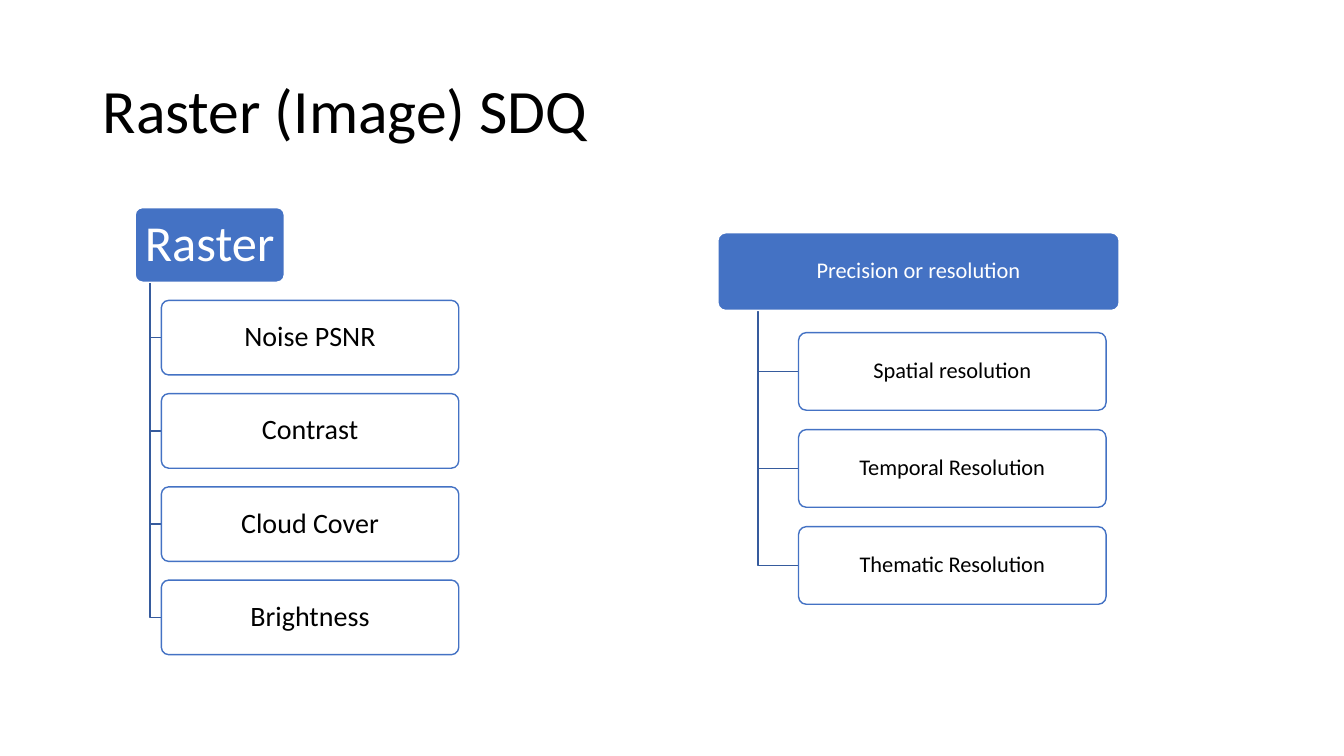
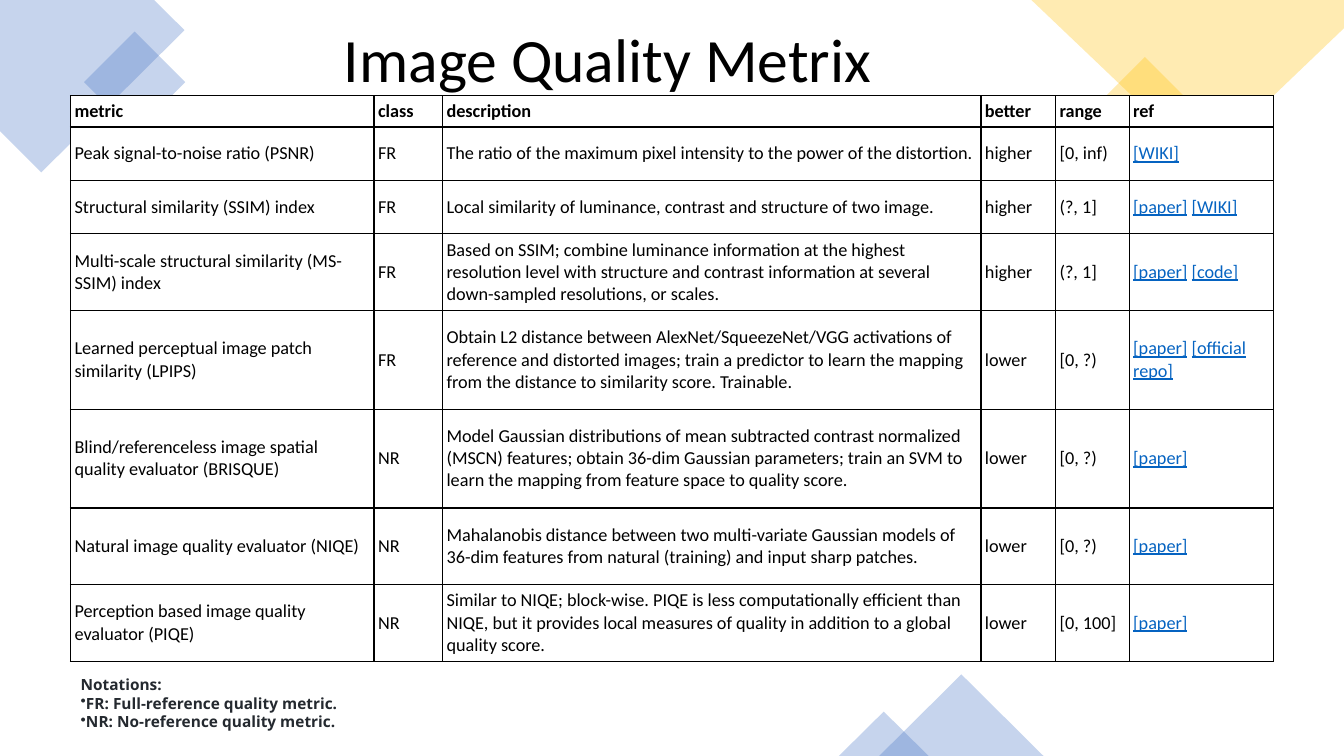
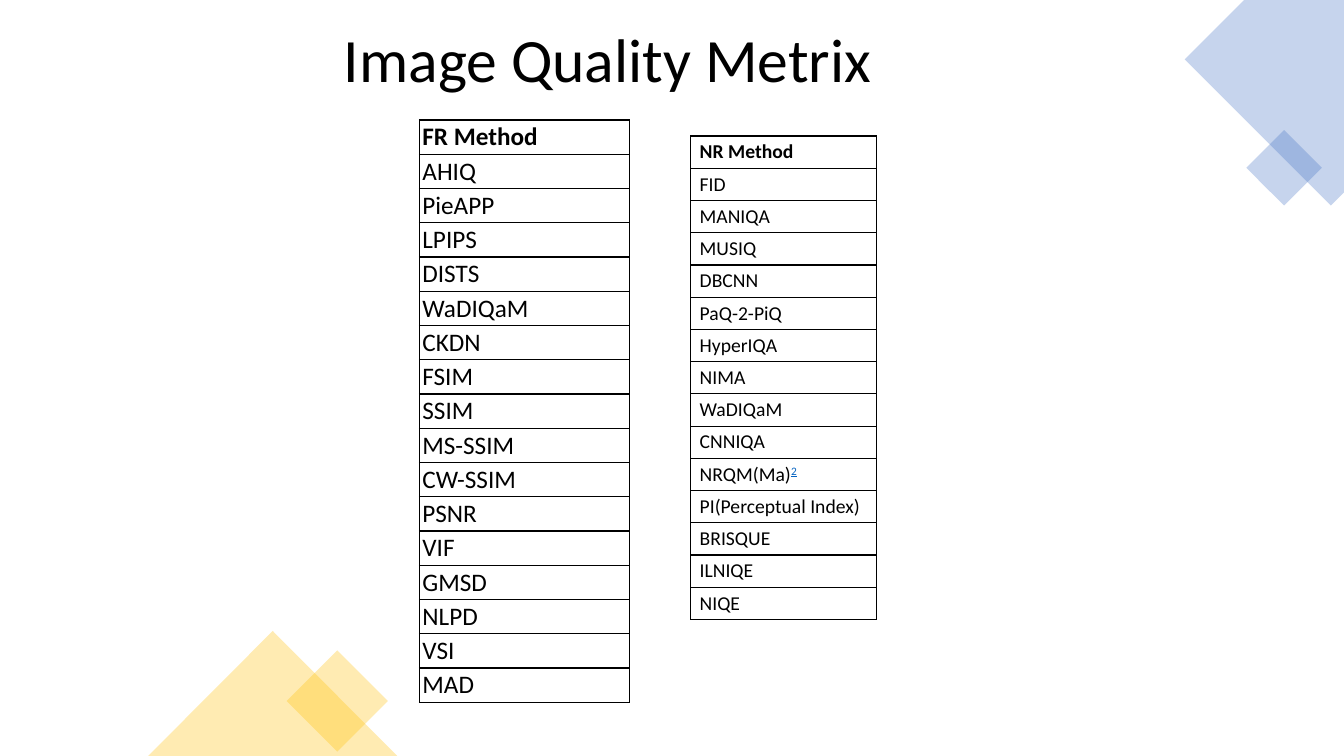
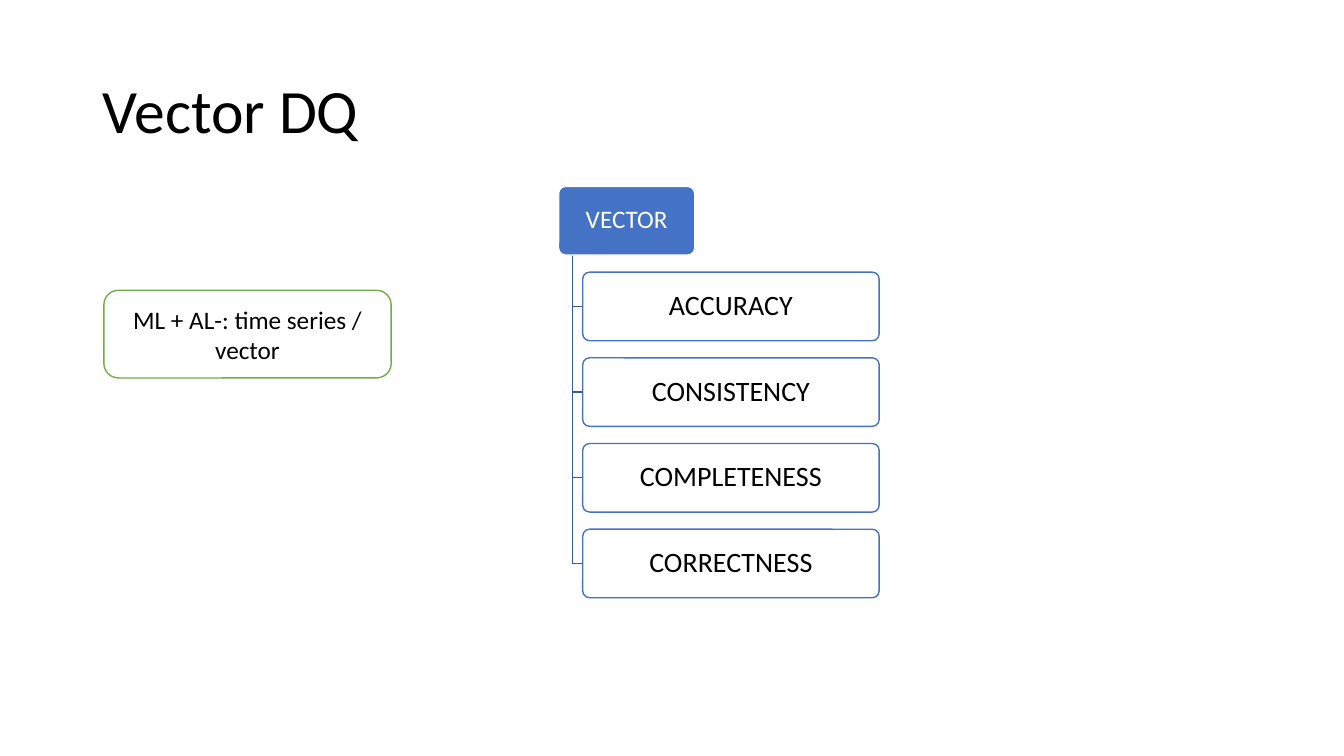
import pptx
import pptx.util
import pptx.dml.color
import pptx.enum.shapes
import pptx.enum.text
import pptx.oxml.ns
import lxml.etree

Inches = pptx.util.Inches
Pt = pptx.util.Pt
qn = pptx.oxml.ns.qn
add = lxml.etree.SubElement
Kind = pptx.enum.shapes.MSO_SHAPE
Align = pptx.enum.text.PP_ALIGN
Anchor = pptx.enum.text.MSO_ANCHOR
tone = pptx.dml.color.RGBColor.from_string

hues = {
    "ink": "000000",
    "white": "FFFFFF",
    "blue": "4472C4",
    "stem": "365B9D",
    "gold": "FFC000",
    "green": "70AD47",
    "link": "0563C1",
    "note": "24292F",
}


def write(frame, text, size, hue="ink", bold=False, align=Align.LEFT, space=1.0, font="Calibri"):
    frame.text = text
    frame.word_wrap = True
    for para in frame.paragraphs:
        parts = para.text.split("|")
        para.text = parts[0]
        para.alignment = align
        para.line_spacing = space
        for part in parts[1:]:
            para.add_run().text = part
        for spot, run in enumerate(para.runs):
            link = run.text in parts[1::2]
            run.font.name = font
            run.font.size = Pt(size)
            run.font.bold = bold
            run.font.underline = link
            run.font.color.rgb = tone(hues["link" if link else hue])
            if link and run.text.isdigit():
                run.font._element.set("baseline", "30000")


def paint(shape, fill=None, line=None, alpha=100):
    shape.shadow.inherit = False
    if fill:
        shape.fill.solid()
        shape.fill.fore_color.rgb = tone(hues[fill])
        if alpha < 100:
            color = shape._element.spPr.find(qn("a:solidFill"))[0]
            add(color, qn("a:alpha"), val=str(alpha * 1000))
    else:
        shape.fill.background()
    if line:
        shape.line.color.rgb = tone(hues[line])
        shape.line.width = Pt(1)
    else:
        shape.line.fill.background()


deck = pptx.Presentation()
deck.slide_width = Inches(13.33)
deck.slide_height = Inches(7.5)
raster, metrics, methods, vector = [deck.slides.add_slide(deck.slide_layouts[6]) for page in range(4)]

trees = [
    (raster, "Raster", (1.34, 2.06, 1.48, 0.74), 36, (1.6, 2.98, 2.95), 20,
     ["Noise PSNR", "Contrast", "Cloud Cover", "Brightness"]),
    (raster, "Precision or resolution", (7.12, 2.31, 3.98, 0.77), 16, (7.92, 3.3, 3.05), 16,
     ["Spatial resolution", "Temporal Resolution", "Thematic Resolution"]),
    (vector, "VECTOR", (5.54, 1.85, 1.35, 0.68), 18, (5.78, 2.7, 2.94), 20,
     ["ACCURACY", "CONSISTENCY", "COMPLETENESS", "CORRECTNESS"]),
]
for slide, head, (left, top, width, high), size, (inner, first, wide), small, kids in trees:
    stem = left + width / 10
    boxes = [(head, left, top, width, size, "blue", "white", "white", 100)]
    for row, kid in enumerate(kids):
        down = first + row * high * 1.25
        boxes.append((kid, inner, down, wide, small, "white", "blue", "ink", 90))
        pen = slide.shapes.build_freeform(Inches(stem), Inches(top + high))
        mid = Inches(down + high / 2)
        pen.add_line_segments([(Inches(stem), mid), (Inches(inner), mid)], close=False)
        paint(pen.convert_to_shape(), line="stem")
    for text, x, y, w, size, fill, line, hue, alpha in boxes:
        box = slide.shapes.add_shape(Kind.ROUNDED_RECTANGLE, Inches(x), Inches(y), Inches(w), Inches(high))
        box.adjustments[0] = 0.1
        paint(box, fill, line, alpha)
        frame = box.text_frame
        frame.margin_left = frame.margin_right = Inches(0.04)
        frame.margin_top = frame.margin_bottom = Inches(0.03)
        write(frame, text, size, hue, align=Align.CENTER, space=0.9)
        frame.vertical_anchor = Anchor.MIDDLE

label = vector.shapes.add_shape(Kind.ROUNDED_RECTANGLE, Inches(1.03), Inches(2.88), Inches(2.85), Inches(0.87))
paint(label, "white", "green")
write(label.text_frame, "ML + AL-: time series / vector", 18, align=Align.CENTER)
label.text_frame.vertical_anchor = Anchor.MIDDLE

corners = [
    (metrics, "blue", [(1.53, 0), (0, 0), (0, 1.3), (0.41, 1.71), (1.83, 0.3)]),
    (metrics, "gold", [(13.33, 0), (10.23, 0), (11.93, 1.62), (13.33, 0.28)]),
    (methods, "blue", [(13.33, 0), (12.34, 0), (11.75, 0.59), (13.2, 2.04), (13.33, 1.91)]),
]
for slide, hue, dots in corners:
    dots = [(Inches(x), Inches(y)) for x, y in dots]
    pen = slide.shapes.build_freeform(*dots[0])
    pen.add_line_segments(dots[1:])
    paint(pen.convert_to_shape(), hue, alpha=30)

accents = [
    (metrics, Kind.RECTANGLE, "blue", 0.98, 0.46, 0.71, 0.71, 45),
    (metrics, Kind.RECTANGLE, "gold", 10.98, 0.72, 0.75, 0.75, 45),
    (metrics, Kind.ISOSCELES_TRIANGLE, "blue", 8.72, 6.69, 1.63, 0.81, 0),
    (metrics, Kind.ISOSCELES_TRIANGLE, "blue", 8.32, 7.06, 0.89, 0.44, 0),
    (methods, Kind.RECTANGLE, "blue", 12.47, 1.4, 0.53, 0.53, 45),
    (methods, Kind.RECTANGLE, "gold", 2.99, 6.6, 0.71, 0.71, 45),
    (methods, Kind.ISOSCELES_TRIANGLE, "gold", 1.47, 6.26, 2.47, 1.24, 0),
]
for slide, kind, hue, x, y, w, h, turn in accents:
    accent = slide.shapes.add_shape(kind, Inches(x), Inches(y), Inches(w), Inches(h))
    accent.rotation = turn
    paint(accent, hue, alpha=30)

scores = [
    ("metric", "class", "description", "better", "range", "ref"),
    ("Peak signal-to-noise ratio (PSNR)", "FR",
     "The ratio of the maximum pixel intensity to the power of the distortion.",
     "higher", "[0, inf)", "|[WIKI]"),
    ("Structural similarity (SSIM) index", "FR",
     "Local similarity of luminance, contrast and structure of two image.",
     "higher", "(?, 1]", "|[paper]| |[WIKI]"),
    ("Multi-scale structural similarity (MS-SSIM) index", "FR",
     "Based on SSIM; combine luminance information at the highest resolution level with structure "
     "and contrast information at several down-sampled resolutions, or scales.",
     "higher", "(?, 1]", "|[paper]| |[code]"),
    ("Learned perceptual image patch similarity (LPIPS)", "FR",
     "Obtain L2 distance between AlexNet/SqueezeNet/VGG activations of reference and distorted images; "
     "train a predictor to learn the mapping from the distance to similarity score. Trainable.",
     "lower", "[0, ?)", "|[paper]| |[official repo]"),
    ("Blind/referenceless image spatial quality evaluator (BRISQUE)", "NR",
     "Model Gaussian distributions of mean subtracted contrast normalized (MSCN) features; obtain 36-dim "
     "Gaussian parameters; train an SVM to learn the mapping from feature space to quality score.",
     "lower", "[0, ?)", "|[paper]"),
    ("Natural image quality evaluator (NIQE)", "NR",
     "Mahalanobis distance between two multi-variate Gaussian models of 36-dim features from natural "
     "(training) and input sharp patches.",
     "lower", "[0, ?)", "|[paper]"),
    ("Perception based image quality evaluator (PIQE)", "NR",
     "Similar to NIQE; block-wise. PIQE is less computationally efficient than NIQE, but it provides "
     "local measures of quality in addition to a global quality score.",
     "lower", "[0, 100]", "|[paper]"),
]
full = ["FR Method", "AHIQ", "PieAPP", "LPIPS", "DISTS", "WaDIQaM", "CKDN", "FSIM", "SSIM", "MS-SSIM",
        "CW-SSIM", "PSNR", "VIF", "GMSD", "NLPD", "VSI", "MAD"]
blind = ["NR Method", "FID", "MANIQA", "MUSIQ", "DBCNN", "PaQ-2-PiQ", "HyperIQA", "NIMA", "WaDIQaM",
         "CNNIQA", "NRQM(Ma)|2", "PI(Perceptual Index)", "BRISQUE", "ILNIQE", "NIQE"]
tables = [
    (metrics, scores, 0.7, 0.95, [3.01, 0.68, 5.34, 0.74, 0.73, 1.43],
     [0.31, 0.53, 0.53, 0.76, 0.98, 0.98, 0.76, 0.76], 13, 0.04, 0.02, "white"),
    (methods, [(name,) for name in full], 4.16, 1.19, [2.08], [0.33] * len(full), 18, 0.03, 0.02, None),
    (methods, [(name,) for name in blind], 6.85, 1.35, [1.84], [0.32] * len(blind), 14, 0.09, 0.04, "white"),
]
for slide, rows, left, top, wides, highs, size, side, edge, fill in tables:
    grid = slide.shapes.add_table(len(rows), len(wides), Inches(left), Inches(top),
                                  Inches(sum(wides)), Inches(sum(highs))).table
    grid.first_row = grid.horz_banding = False
    for col, wide in zip(grid.columns, wides):
        col.width = Inches(wide)
    for r, (row, high) in enumerate(zip(rows, highs)):
        grid.rows[r].height = Inches(high)
        for c, text in enumerate(row):
            cell = grid.cell(r, c)
            write(cell.text_frame, text, size, bold=r == 0)
            cell.vertical_anchor = Anchor.MIDDLE
            cell.margin_left = cell.margin_right = Inches(side)
            cell.margin_top = cell.margin_bottom = Inches(edge)
            for tag in ("a:lnL", "a:lnR", "a:lnT", "a:lnB"):
                rule = add(cell._tc.get_or_add_tcPr(), qn(tag), w=str(Pt(1)))
                add(add(rule, qn("a:solidFill")), qn("a:srgbClr"), val=hues["ink"])
            if fill:
                cell.fill.solid()
                cell.fill.fore_color.rgb = tone(hues[fill])
            else:
                cell.fill.background()

notes = metrics.shapes.add_textbox(Inches(0.7), Inches(6.65), Inches(6.68), Inches(0.66)).text_frame
write(notes, "Notations:\nFR: Full-reference quality metric.\nNR: No-reference quality metric.",
      11, "note", bold=True, font="Open Sans")
for para in notes.paragraphs[1:]:
    add(para._p.get_or_add_pPr(), qn("a:buChar"), char="•")

titles = [
    (raster, "Raster (Image) SDQ", 0.92, 0.4, 1.45, Align.LEFT),
    (metrics, "Image Quality Metrix", 0.28, 0.06, 1.13, Align.CENTER),
    (methods, "Image Quality Metrix", 0.28, 0.06, 1.13, Align.CENTER),
    (vector, "Vector DQ", 0.92, 0.4, 1.45, Align.LEFT),
]
for slide, text, x, y, h, align in titles:
    frame = slide.shapes.add_textbox(Inches(x), Inches(y), Inches(11.5), Inches(h)).text_frame
    write(frame, text, 44, align=align, space=0.9)
    frame.vertical_anchor = Anchor.MIDDLE

deck.save("out.pptx")
